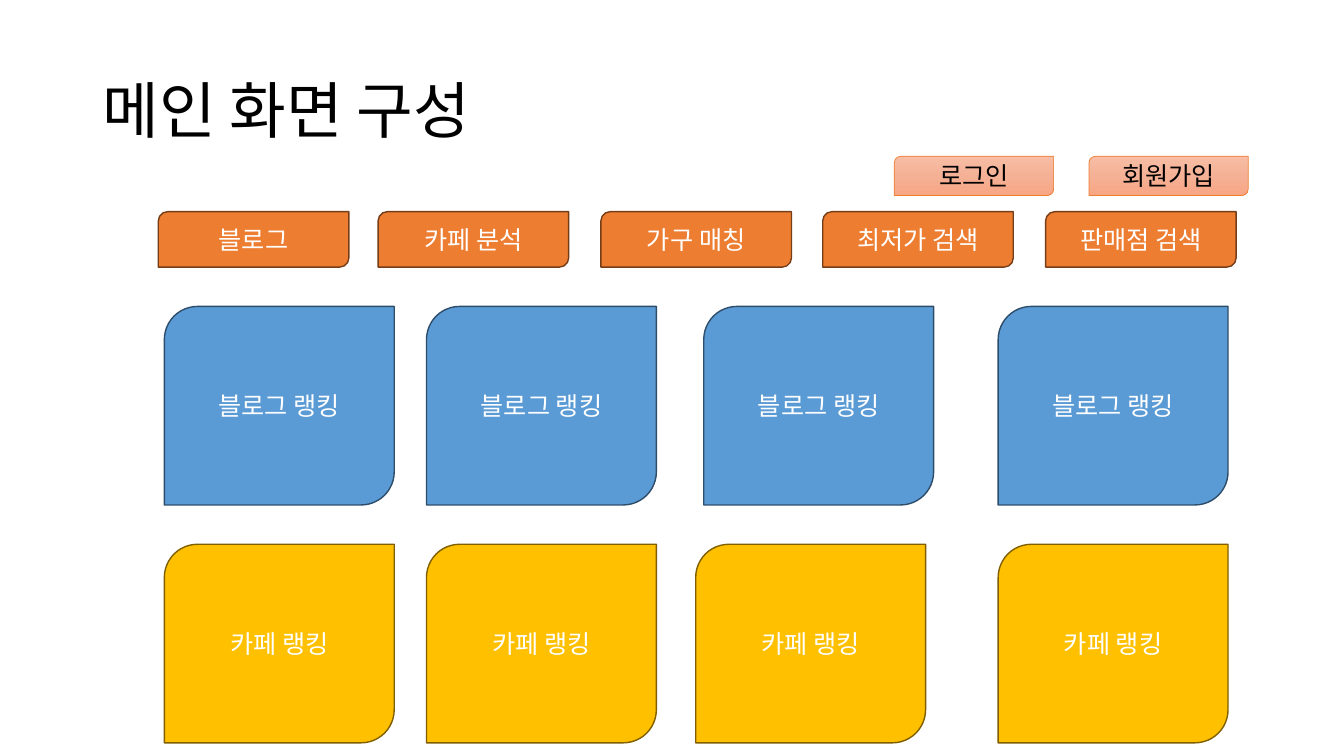
import copy

import pptx
import pptx.dml.color
import pptx.enum.shapes
import pptx.enum.text
import pptx.oxml.ns
import pptx.util
from lxml import etree

Inches = pptx.util.Inches
RGBColor = pptx.dml.color.RGBColor

BLACK = RGBColor(0x00, 0x00, 0x00)
WHITE = RGBColor(0xFF, 0xFF, 0xFF)
BLUE = RGBColor(0x5B, 0x9B, 0xD5)
BLUE_EDGE = RGBColor(0x2D, 0x4D, 0x6A)
GOLD = RGBColor(0xFF, 0xC0, 0x00)
GOLD_EDGE = RGBColor(0x7F, 0x5F, 0x00)
ORANGE = RGBColor(0xED, 0x7D, 0x31)
ORANGE_EDGE = RGBColor(0x76, 0x3E, 0x18)
PEACH_TOP = RGBColor(0xF7, 0xBD, 0xA5)
PEACH_MIDDLE = RGBColor(0xF5, 0xB1, 0x96)
PEACH_BOTTOM = RGBColor(0xF8, 0xA5, 0x82)
FONT = "Noto Sans CJK KR"


def write_text(holder, text, size, color, align):
    frame = holder.text_frame
    frame.word_wrap = True
    frame.vertical_anchor = pptx.enum.text.MSO_ANCHOR.MIDDLE
    paragraph = frame.paragraphs[0]
    paragraph.alignment = align
    run = paragraph.add_run()
    run.text = text
    for attribute, value in {"name": FONT, "size": pptx.util.Pt(size)}.items():
        setattr(run.font, attribute, value)
    run.font.color.rgb = color
    # Hangul takes the East Asian typeface
    east_asian = etree.SubElement(run.font._element, pptx.oxml.ns.qn("a:ea"))
    east_asian.set("typeface", FONT)
    return paragraph


def fill_gradient(fill, colors):
    fill.gradient()
    fill.gradient_angle = 270
    first = fill.gradient_stops[0]._gs
    first.addnext(copy.deepcopy(first))
    for index, (stop, color) in enumerate(zip(fill.gradient_stops, colors)):
        stop.position = index / (len(colors) - 1)
        stop.color.rgb = color


presentation = pptx.Presentation()
presentation.slide_width = Inches(13.33)
presentation.slide_height = Inches(7.5)
slide = presentation.slides.add_slide(presentation.slide_layouts[6])

# Title
title = slide.shapes.add_textbox(Inches(0.92), Inches(0.4), Inches(11.5), Inches(1.45))
heading = write_text(title, "메인 화면 구성", 44, BLACK, pptx.enum.text.PP_ALIGN.LEFT)
heading.line_spacing = 0.9

# Rows of the screen: ranking cards, menu, account buttons
rows = [
    {"top": 3.04, "size": (2.28, 1.97), "fill": [BLUE], "edge": BLUE_EDGE, "edge_width": 1, "ink": WHITE,
     "items": [(left, "블로그 랭킹") for left in (1.63, 4.23, 6.98, 9.9)]},
    {"top": 5.4, "size": (2.28, 1.97), "fill": [GOLD], "edge": GOLD_EDGE, "edge_width": 1, "ink": WHITE,
     "items": [(left, "카페 랭킹") for left in (1.63, 4.23, 6.9, 9.9)]},
    {"top": 2.1, "size": (1.89, 0.55), "fill": [ORANGE], "edge": ORANGE_EDGE, "edge_width": 1, "ink": WHITE,
     "items": [(1.57, "블로그"), (3.75, "카페 분석"), (5.96, "가구 매칭"),
               (8.16, "최저가 검색"), (10.37, "판매점 검색")]},
    {"top": 1.55, "size": (1.58, 0.39), "fill": [PEACH_TOP, PEACH_MIDDLE, PEACH_BOTTOM],
     "edge": ORANGE, "edge_width": 0.5, "ink": BLACK,
     "items": [(8.87, "로그인"), (10.8, "회원가입")]},
]

for row in rows:
    width, height = row["size"]
    for left, label in row["items"]:
        block = slide.shapes.add_shape(
            pptx.enum.shapes.MSO_SHAPE.ROUND_2_DIAG_RECTANGLE,
            Inches(left), Inches(row["top"]), Inches(width), Inches(height))
        block.shadow.inherit = False
        if len(row["fill"]) > 1:
            fill_gradient(block.fill, row["fill"])
        else:
            block.fill.solid()
            block.fill.fore_color.rgb = row["fill"][0]
        block.line.color.rgb = row["edge"]
        block.line.width = pptx.util.Pt(row["edge_width"])
        write_text(block, label, 18, row["ink"], pptx.enum.text.PP_ALIGN.CENTER)

presentation.save("out.pptx")
